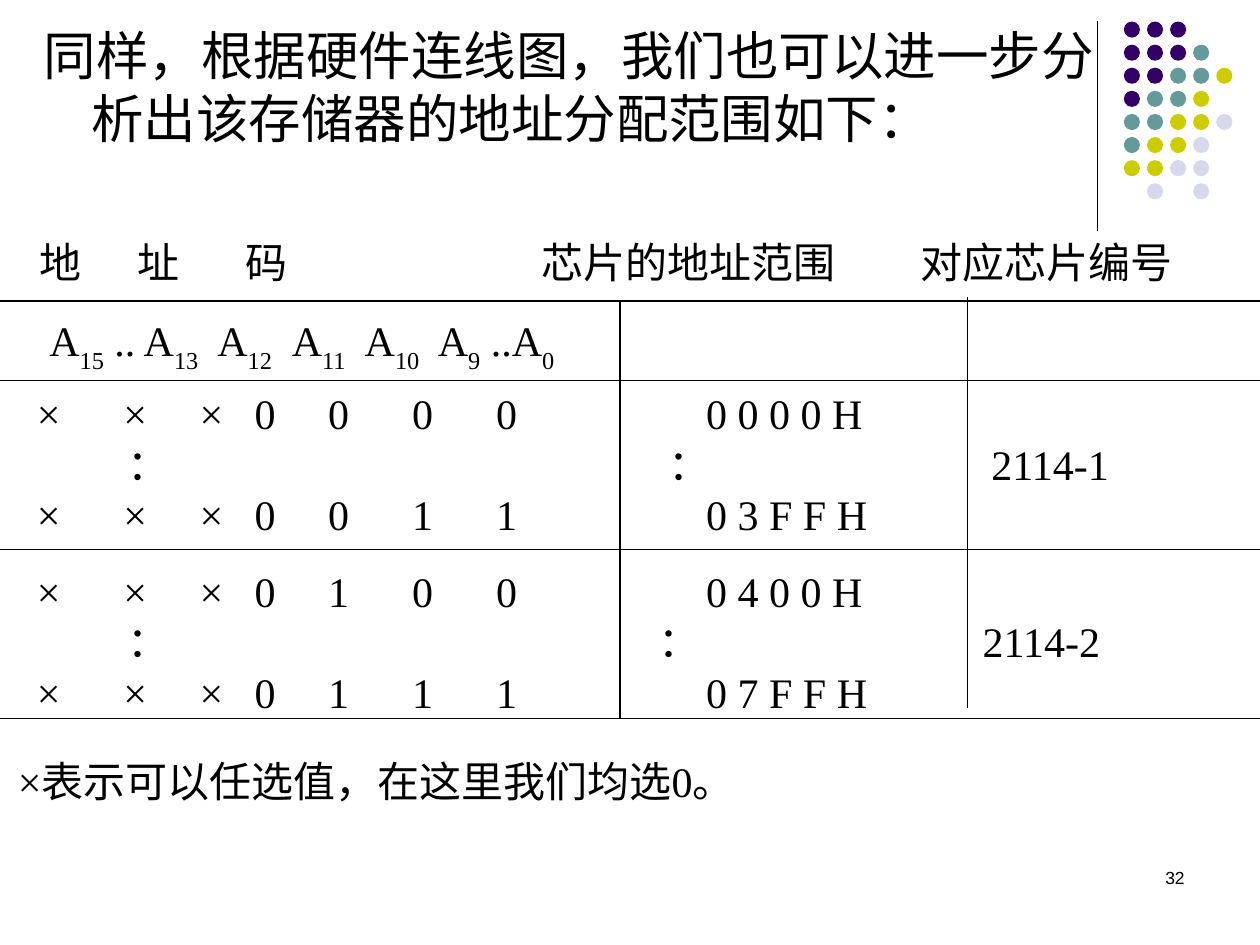
from dataclasses import dataclass

from lxml.etree import SubElement
from pptx import Presentation
from pptx.dml.color import RGBColor
from pptx.enum.shapes import MSO_CONNECTOR, MSO_SHAPE
from pptx.enum.text import MSO_ANCHOR, PP_ALIGN
from pptx.oxml.ns import qn
from pptx.util import Pt

BLACK = RGBColor(0x00, 0x00, 0x00)
PURPLE = RGBColor(0x33, 0x00, 0x66)
TEAL = RGBColor(0x66, 0x99, 0x99)
LIME = RGBColor(0xCC, 0xCC, 0x00)
LAVENDER = RGBColor(0xD8, 0xD8, 0xEC)

SANS = "Arial"
SERIF = "Times New Roman"
PLAIN_INSETS = (7.2, 3.6, 7.2, 3.6)
NOTE_INSETS = (3, 3.6, 0, 3.6)
TABLE_INSETS = (3, 3.6, 0, 31.2)

# Dot ornament: one letter per dot, one string per row
DOT_COLORS = {"P": PURPLE, "T": TEAL, "Y": LIME, "L": LAVENDER}
DOT_ROWS = ["PPP", "PPPT", "PPTTY", "PTTY", "TTYYL", "TYYL", "YYLL", ".L.L"]
DOT_LEFT, DOT_TOP, DOT_PITCH, DOT_SIZE = 642.2, 12.3, 13.2, 9.2

# Tab stops of the address table
HEADING_TABS = (56.3, 118, 287.1, 503.7)
PIN_TABS = (18, 114, 156.6, 198.2, 240)
CODE_TABS = (18, 67.5, 111, 142.5, 184.5, 232.5, 280.5, 400.5)


@dataclass(frozen=True)
class Box:
    left: float
    top: float
    width: float
    height: float


@dataclass(frozen=True)
class TabbedLine:
    text: str
    tabs: tuple[float, ...] = ()


@dataclass(frozen=True)
class Rule:
    x1: float
    y1: float
    x2: float
    y2: float


@dataclass(frozen=True)
class Chip:
    top: float
    first: str
    last: str
    name: str
    range_colon: float
    name_left: float

    def lines(self) -> list[TabbedLine]:
        middle_tabs = (70, self.range_colon, self.name_left)
        return [TabbedLine(self.first, CODE_TABS),
                TabbedLine(f"\t：\t：\t{self.name}", middle_tabs),
                TabbedLine(self.last, CODE_TABS)]


CHIPS = [
    Chip(217.4, "\t×\t×\t×\t0\t0\t0\t0\t0 0 0 0 H",
         "\t×\t×\t×\t0\t0\t1\t1\t0 3 F F H", "2114-1", 379, 563.5),
    Chip(319, "\t×\t×\t×\t0\t1\t0\t0\t0 4 0 0 H",
         "\t×\t×\t×\t0\t1\t1\t1\t0 7 F F H", "2114-2", 373.5, 558.5),
]

RULES = [
    Rule(627, 12, 627, 132),
    *(Rule(0, y, 720, y) for y in (172, 217.4, 314, 410.4)),
    Rule(354.3, 172, 354.3, 410.4),
    Rule(553, 170, 553, 404.6),
]


def add_text(slide, box: Box, lines: list[TabbedLine], *, size: float = 24,
             font: str = SERIF, insets=TABLE_INSETS, anchor=MSO_ANCHOR.MIDDLE,
             align=PP_ALIGN.LEFT, wrap: bool = True, hanging: float = 0) -> None:
    """Write lines in a box; text between tildes is subscript."""
    frame = slide.shapes.add_textbox(
        Pt(box.left), Pt(box.top), Pt(box.width), Pt(box.height)).text_frame
    frame.word_wrap = wrap
    frame.vertical_anchor = anchor
    (frame.margin_left, frame.margin_top,
     frame.margin_right, frame.margin_bottom) = map(Pt, insets)
    for index, line in enumerate(lines):
        paragraph = frame.add_paragraph() if index else frame.paragraphs[0]
        paragraph.alignment = align
        properties = paragraph._p.get_or_add_pPr()
        if hanging:
            properties.set("marL", str(Pt(hanging)))
            properties.set("indent", str(-Pt(hanging)))
        if line.tabs:
            stops = SubElement(properties, qn("a:tabLst"))
            for stop in line.tabs:
                SubElement(stops, qn("a:tab"), pos=str(Pt(stop)), algn="l")
        for part, text in enumerate(line.text.split("~")):
            if not text:
                continue
            run = paragraph.add_run()
            run.text = text
            run.font.size = Pt(size)
            run.font.name = font
            run.font.color.rgb = BLACK
            if part % 2:
                run._r.get_or_add_rPr().set("baseline", "-30000")


def add_rule(slide, rule: Rule) -> None:
    connector = slide.shapes.add_connector(
        MSO_CONNECTOR.STRAIGHT, Pt(rule.x1), Pt(rule.y1), Pt(rule.x2), Pt(rule.y2))
    connector.line.color.rgb = BLACK
    connector.line.width = Pt(0.75)
    SubElement(connector._element.spPr, qn("a:effectLst"))


def add_dot(slide, row: int, column: int, color: RGBColor) -> None:
    dot = slide.shapes.add_shape(
        MSO_SHAPE.OVAL, Pt(DOT_LEFT + column * DOT_PITCH),
        Pt(DOT_TOP + row * DOT_PITCH), Pt(DOT_SIZE), Pt(DOT_SIZE))
    dot.shadow.inherit = False
    dot.fill.solid()
    dot.fill.fore_color.rgb = color
    dot.line.fill.background()


def main() -> None:
    deck = Presentation()
    deck.slide_width, deck.slide_height = Pt(720), Pt(540)
    slide = deck.slides.add_slide(deck.slide_layouts[6])

    # Corner ornament
    for row, letters in enumerate(DOT_ROWS):
        for column, letter in enumerate(letters):
            if letter in DOT_COLORS:
                add_dot(slide, row, column, DOT_COLORS[letter])

    # Page number, introduction and footnote
    add_text(slide, Box(516, 492, 168, 36), [TabbedLine("32")], size=10, font=SANS,
             insets=PLAIN_INSETS, anchor=MSO_ANCHOR.TOP, align=PP_ALIGN.RIGHT)
    introduction = "同样，根据硬件连线图，我们也可以进一步分析出该存储器的地址分配范围如下："
    add_text(slide, Box(18, 9.4, 625.7, 108), [TabbedLine(introduction)], size=30,
             font=SANS, insets=PLAIN_INSETS, anchor=MSO_ANCHOR.TOP, hanging=27)
    add_text(slide, Box(7.2, 428.4, 430, 36),
             [TabbedLine("×表示可以任选值，在这里我们均选0。")],
             insets=NOTE_INSETS, wrap=False)

    # Address table: headings, address pins, one block per chip
    add_text(slide, Box(19.4, 131, 700.6, 64.8),
             [TabbedLine("地\t址\t码\t芯片的地址范围\t对应芯片编号", HEADING_TABS)])
    pins = "\tA~15~ .. A~13~\tA~12~\tA~11~\tA~10~\tA~9~ ..A~0~"
    add_text(slide, Box(7.2, 172.8, 317.5, 75.6), [TabbedLine(pins, PIN_TABS)])
    for chip in CHIPS:
        add_text(slide, Box(0, chip.top, 694.8, 122.4), chip.lines())

    # Table rules and the line beside the ornament
    for rule in RULES:
        add_rule(slide, rule)

    deck.save("out.pptx")


if __name__ == "__main__":
    main()
